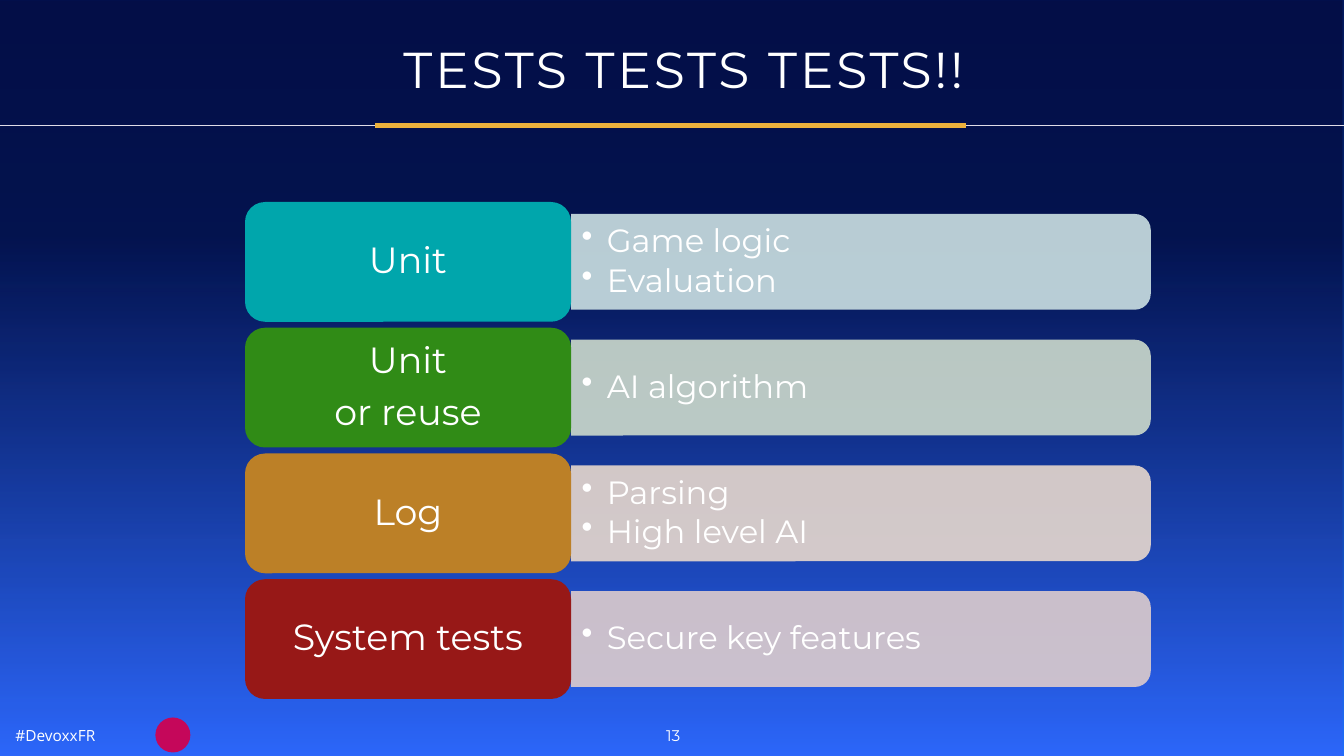
import pptx
import pptx.util
import pptx.dml.color
import pptx.enum.shapes
import pptx.enum.text
import pptx.oxml.ns
import lxml.etree
from dataclasses import dataclass

Pt = pptx.util.Pt
Shapes = pptx.enum.shapes.MSO_SHAPE
Anchor = pptx.enum.text.MSO_ANCHOR
Align = pptx.enum.text.PP_ALIGN
qn = pptx.oxml.ns.qn


@dataclass(frozen=True)
class Theme:
    heading_font: str = "Montserrat"
    footer_font: str = "Open Sans"
    title_size: int = 36
    label_size: int = 26
    detail_size: int = 23
    footer_size: int = 11
    text: str = "FFFFFF"
    gold: str = "ECB13C"
    hairline: str = "E0DCE8"
    badge: str = "C5075A"
    backdrop: tuple = ((0, "057FFA"), (1, "033494"))
    veil: tuple = ((0, "3363FB", 85), (0.69, "030231", 77))
    panel_alpha: int = 90


THEME = Theme()

# Label lines, label colour, detail lines, panel colour
TEST_LEVELS = [
    (["Unit"], "00A6AC", ["Game logic", "Evaluation"], "CCE1E3"),
    (["Unit", "or reuse"], "308B16", ["AI algorithm"], "CDDACC"),
    (["Log"], "BC8027", ["Parsing", "High level AI"], "E7D8CD"),
    (["System tests"], "971817", ["Secure key features"], "DDCCCC"),
]


def rgb(code):
    return pptx.dml.color.RGBColor.from_string(code)


def set_alpha(colour, percent):
    lxml.etree.SubElement(colour, qn("a:alpha"), val=str(percent * 1000))


def fill_gradient(fill, stops):
    fill.gradient()
    fill.gradient_angle = 90
    for stop, (position, code, *_) in zip(fill.gradient_stops, stops):
        stop.position = position
        stop.color.rgb = rgb(code)


def add_plain_shape(slide, kind, box, code=None):
    shape = slide.shapes.add_shape(kind, *map(Pt, box))
    shape.shadow.inherit = False
    shape.line.fill.background()
    if code:
        shape.fill.solid()
        shape.fill.fore_color.rgb = rgb(code)
    return shape


def add_rule(slide, left, right, y, code, weight):
    rule = slide.shapes.add_connector(
        pptx.enum.shapes.MSO_CONNECTOR.STRAIGHT, Pt(left), Pt(y), Pt(right), Pt(y))
    rule.line.color.rgb = rgb(code)
    rule.line.width = Pt(weight)
    lxml.etree.SubElement(rule.element.spPr, qn("a:effectLst"))


def write(shape, lines, size, font=THEME.heading_font, align=Align.CENTER,
          anchor=Anchor.MIDDLE, insets=(6, 6), wrap=True, spacing=None,
          after=None, bullet_indent=None, tracking=None):
    frame = shape.text_frame
    frame.word_wrap = wrap
    frame.vertical_anchor = anchor
    frame.margin_left = frame.margin_right = Pt(insets[0])
    frame.margin_top = frame.margin_bottom = Pt(insets[1])
    for index, line in enumerate(lines):
        paragraph = frame.add_paragraph() if index else frame.paragraphs[0]
        paragraph.alignment = align
        if spacing:
            paragraph.line_spacing = spacing
            paragraph.space_after = Pt(after)
        if bullet_indent:
            paragraph.level = 1
            properties = paragraph._p.get_or_add_pPr()
            properties.set("marL", str(Pt(bullet_indent)))
            properties.set("indent", str(-Pt(bullet_indent)))
            lxml.etree.SubElement(properties, qn("a:buChar"), char="•")
        run = paragraph.add_run()
        run.text = line
        run.font.size = Pt(size)
        run.font.name = font
        run.font.color.rgb = rgb(THEME.text)
        if tracking:
            run.font._element.set("spc", str(tracking * 100))


def draw_backdrop(slide, box):
    fill_gradient(slide.background.fill, THEME.backdrop)
    veil = add_plain_shape(slide, Shapes.RECTANGLE, box)
    fill_gradient(veil.fill, THEME.veil)
    colours = veil.element.spPr.iter(qn("a:srgbClr"))
    for colour, (*_, alpha) in zip(list(colours), THEME.veil):
        set_alpha(colour, alpha)


def draw_header(slide, box):
    left, top, width, height = box
    # Hairline across the slide, with a gold accent under the title
    rule_y = top + height
    add_rule(slide, left, left + width, rule_y, THEME.hairline, 0.75)
    add_rule(slide, left + 268, left + 690, rule_y, THEME.gold, 3.75)
    title = slide.shapes.add_textbox(
        Pt(left + 111.5), Pt(top + 5), Pt(754), Pt(height - 2))
    write(title, ["TESTS TESTS TESTS!!"], THEME.title_size, tracking=2)


def draw_level(slide, box, level):
    left, top, width, height = box
    label_lines, label_code, detail_lines, panel_code = level
    label_width = 0.36 * width
    panel_left = left + label_width
    panel_width = width - label_width
    panel_height = 0.8 * height
    middle = top + height / 2

    # Panel: turned a quarter so that its rounded end faces right
    panel = add_plain_shape(slide, Shapes.ROUND_2_SAME_RECTANGLE, (
        panel_left + (panel_width - panel_height) / 2, middle - panel_width / 2,
        panel_height, panel_width), panel_code)
    panel.rotation = 90
    set_alpha(next(panel.element.spPr.iter(qn("a:srgbClr"))), THEME.panel_alpha)
    details = slide.shapes.add_textbox(
        Pt(panel_left), Pt(middle - panel_height / 2),
        Pt(panel_width), Pt(panel_height))
    write(details, detail_lines, THEME.detail_size, align=Align.LEFT,
          insets=(7.5, 4), spacing=0.9, after=3.45, bullet_indent=18)

    # Label
    label = add_plain_shape(
        slide, Shapes.ROUNDED_RECTANGLE, (left, top, label_width, height), label_code)
    write(label, label_lines, THEME.label_size, insets=(12, 8),
          spacing=0.9, after=9.1)


def draw_levels(slide, box):
    left, top, width, height = box
    gap_share = 0.05
    count = len(TEST_LEVELS)
    row_height = height / (count + (count - 1) * gap_share)
    for index, level in enumerate(TEST_LEVELS):
        row_top = top + index * row_height * (1 + gap_share)
        draw_level(slide, (left, row_top, width, row_height), level)


def draw_footer(slide, box):
    left, top, width, height = box
    hashtag = slide.shapes.add_textbox(Pt(left + 8), Pt(top + 3), Pt(66), Pt(19))
    write(hashtag, ["#DevoxxFR"], THEME.footer_size, THEME.footer_font,
          align=Align.LEFT, insets=(3, 3), wrap=False)
    add_plain_shape(slide, Shapes.OVAL, (left + 111, top, 25, 25), THEME.badge)
    page_number = slide.shapes.add_textbox(
        Pt(left + width / 2 - 14), Pt(top), Pt(30), Pt(height))
    write(page_number, ["13"], THEME.footer_size, anchor=Anchor.TOP, wrap=False)


def main():
    deck = pptx.Presentation()
    deck.slide_width, deck.slide_height = Pt(960), Pt(540)
    slide = deck.slides.add_slide(deck.slide_layouts[6])
    draw_backdrop(slide, (0, 0, 960, 540))
    draw_header(slide, (0, 0, 960, 89.5))
    draw_footer(slide, (0, 512.5, 960, 25))
    draw_levels(slide, (175, 144.3, 647, 355))
    deck.save("out.pptx")


if __name__ == "__main__":
    main()
